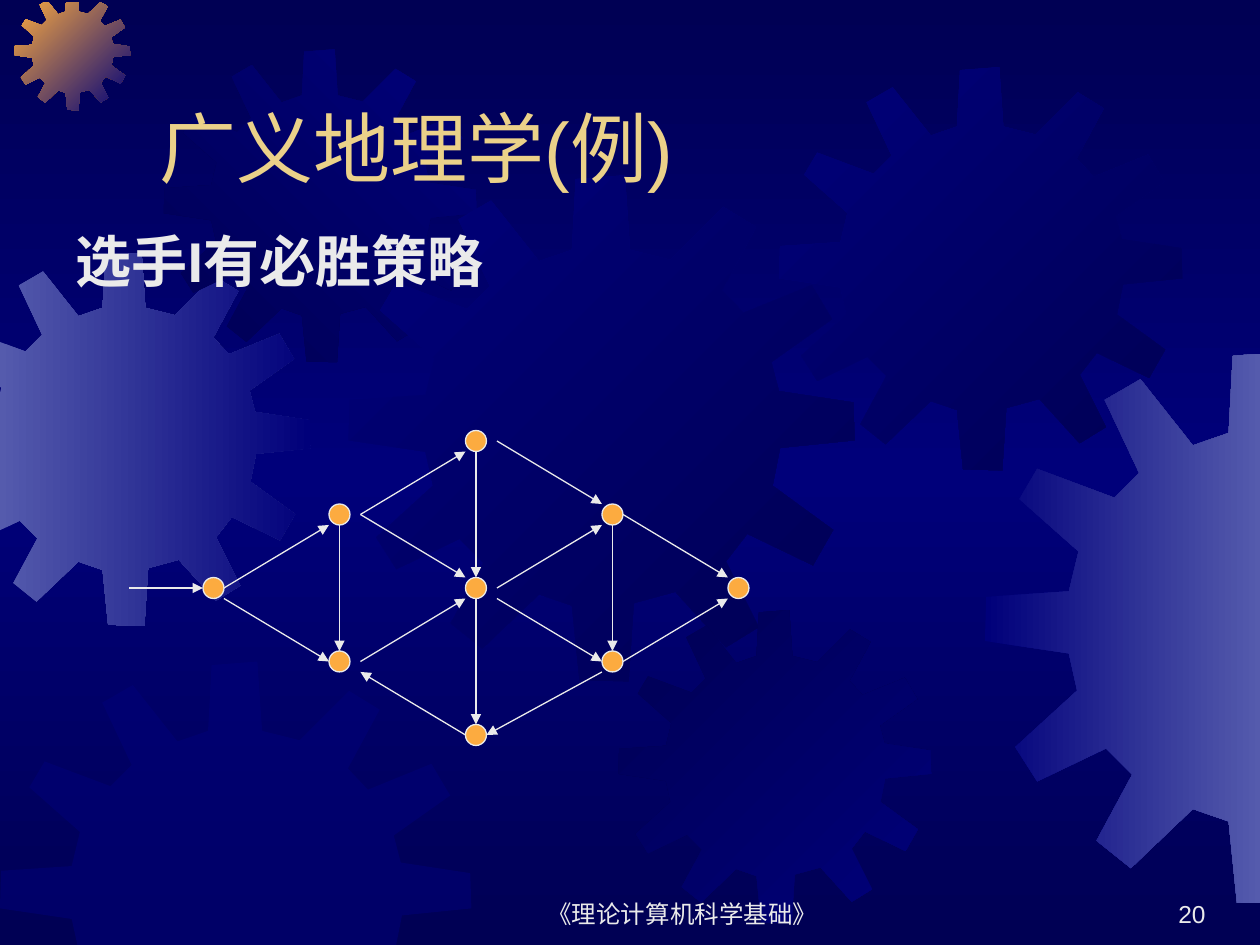
from copy import deepcopy
from dataclasses import dataclass

from lxml.etree import SubElement
from pptx import Presentation
from pptx.dml.color import RGBColor
from pptx.enum.shapes import MSO_CONNECTOR, MSO_SHAPE
from pptx.enum.text import MSO_ANCHOR, PP_ALIGN
from pptx.oxml.ns import qn
from pptx.util import Inches, Pt

COLUMNS, ROWS = 120, 90
FRAME = ((-0.1, 120.1), (0.2, 90.5))  # visible columns and rows for gears


@dataclass(frozen=True)
class Theme:
    font: str = "Arial"
    dark: str = "000054"
    blue: str = "00007A"
    pale: str = "555BAD"
    orange: str = "FCAB40"
    gold: str = "EBD189"
    text: str = "EAEAEA"
    title_size: int = 44
    body_size: int = 32
    footer_size: int = 14
    line_width: float = 0.75


THEME = Theme()

# Gear outline in a square of GEAR_SPAN units
GEAR_SPAN = 401
GEAR_OUTLINE = [
    (255, 67), (223, 59), (219, 0), (180, 3), (177, 59), (151, 68),
    (113, 20), (87, 35), (112, 88), (94, 106), (38, 85), (25, 107),
    (68, 145), (61, 174), (1, 178), (0, 210), (61, 219), (67, 246),
    (22, 287), (38, 312), (88, 288), (107, 307), (81, 355), (106, 375),
    (151, 332), (177, 341), (183, 400), (222, 401), (226, 339), (259, 330),
    (299, 374), (325, 358), (299, 306), (316, 284), (368, 309), (384, 281),
    (336, 246), (342, 216), (401, 210), (400, 180), (341, 171), (335, 148),
    (383, 114), (367, 87), (313, 109), (296, 91), (323, 41), (297, 25),
]

# Left column, top row, size, gradient colours, clockwise angle
GEARS = [
    (-5.9, 24.1, 35.5, (THEME.pale, THEME.blue), 0),
    (1.4, -0.5, 11, (THEME.orange, THEME.blue), 45),
    (15.6, 4.7, 29.8, (THEME.dark, THEME.blue), 315),
    (33.2, 16.7, 48.2, (THEME.blue, THEME.dark), 45),
    (0, 63, 44.9, (THEME.blue,), 0),
    (58.9, 58.1, 29.8, (THEME.dark, THEME.blue), 45),
    (74.2, 6.4, 38.4, (THEME.blue, THEME.dark), 45),
    (93.8, 33.5, 52.6, (THEME.blue, THEME.pale), 0),
]

NODES = {
    "top": (45.33, 42), "centre": (45.33, 56), "bottom": (45.33, 70),
    "upper right": (58.33, 49), "lower right": (58.33, 63),
    "goal": (70.33, 56),
    "upper left": (32.33, 49), "lower left": (32.33, 63),
    "start": (20.33, 56),
}

# Tail node and its offset, head node and its offset; one unit is a node radius
ARROWS = [
    ("start", (-8, 0), "start", (-1, 0)),
    ("start", (1, 0), "upper left", (-1, 1)),
    ("upper left", (2, 0), "top", (-1, 1)),
    ("centre", (2, 0), "upper right", (-1, 1)),
    ("lower left", (2, 0), "centre", (-1, 1)),
    ("lower right", (1, 0), "goal", (-1, 1)),
    ("upper left", (0, 1), "lower left", (0, -1)),
    ("top", (0, 1), "centre", (0, -1)),
    ("upper right", (0, 1), "lower right", (0, -1)),
    ("centre", (0, 1), "bottom", (0, -1)),
    ("bottom", (-1, 0), "lower left", (2, 1)),
    ("start", (1, 1), "lower left", (-1, 0)),
    ("upper left", (2, 0), "centre", (-1, -1)),
    ("centre", (2, 1), "lower right", (-1, 0)),
    ("upper right", (1, 0), "goal", (-1, -1)),
    ("top", (2, 0), "upper right", (-1, -1)),
    ("lower right", (-1, 1), "bottom", (1, 0)),
]


def rgb(value):
    return RGBColor.from_string(value)


def clip(points, axis, limit, sign):
    """Keep the part of a polygon where sign * coordinate >= sign * limit."""
    kept = []
    for a, b in zip(points[-1:] + points[:-1], points):
        a_in, b_in = (sign * p[axis] >= sign * limit for p in (a, b))
        if a_in != b_in:
            t = (limit - a[axis]) / (b[axis] - a[axis])
            kept.append(tuple(u + t * (v - u) for u, v in zip(a, b)))
        if b_in:
            kept.append(b)
    return kept


def set_gradient(fill, colors, angle):
    fill.gradient()
    fill.gradient_angle = (360 - angle) % 360
    for stop, color, share in zip(fill.gradient_stops, colors, (0, 1)):
        stop.color.rgb = rgb(color)
        stop.position = share


class SlideBuilder:
    def __init__(self, prs, theme):
        self.theme = theme
        self.s = prs.slides.add_slide(prs.slide_layouts[6])
        self.column = prs.slide_width / COLUMNS
        self.row = prs.slide_height / ROWS

    def at(self, x, y):
        return round(x * self.column), round(y * self.row)

    def background(self):
        """Vertical gradient, dark at both ends."""
        t = self.theme
        set_gradient(self.s.background.fill, (t.dark, t.blue), 90)
        stops = self.s.element.find(".//" + qn("a:gsLst"))
        stops.append(deepcopy(stops[0]))
        stops[1].set("pos", "50000")
        stops[2].set("pos", "100000")

    def gear(self, left, top, size, colors, angle):
        """Gear cut off at the frame; a single colour is half transparent."""
        k = size / GEAR_SPAN
        points = [(left + x * k, top + y * k) for x, y in GEAR_OUTLINE]
        for axis, (low, high) in enumerate(FRAME):
            points = clip(clip(points, axis, low, 1), axis, high, -1)
        first, *rest = [self.at(*p) for p in points]
        builder = self.s.shapes.build_freeform(*first)
        builder.add_line_segments(rest, close=True)
        sp = builder.convert_to_shape()
        sp.shadow.inherit = False
        sp.line.fill.background()
        if len(colors) > 1:
            set_gradient(sp.fill, colors, angle)
        else:
            sp.fill.solid()
            sp.fill.fore_color.rgb = rgb(colors[0])
            color = sp.element.spPr.find(".//" + qn("a:srgbClr"))
            SubElement(color, qn("a:alpha"), val="50000")

    def text(self, text, box, *, size, color=None, bold=False,
             align=PP_ALIGN.LEFT, anchor=MSO_ANCHOR.BOTTOM, before=0):
        sp = self.s.shapes.add_textbox(*self.at(*box[:2]), *self.at(*box[2:]))
        tf = sp.text_frame
        tf.word_wrap = True
        tf.vertical_anchor = anchor
        p = tf.paragraphs[0]
        p.alignment = align
        p.space_before = Pt(before)
        r = p.add_run()
        r.text = text
        r.font.name = self.theme.font
        r.font.size = Pt(size)
        r.font.bold = bold
        r.font.color.rgb = rgb(color or self.theme.text)

    def outline(self, line):
        line.color.rgb = rgb(self.theme.text)
        line.width = Pt(self.theme.line_width)

    def node(self, x, y):
        sp = self.s.shapes.add_shape(
            MSO_SHAPE.OVAL, *self.at(x - 1, y - 1), *self.at(2, 2))
        sp.shadow.inherit = False
        sp.fill.solid()
        sp.fill.fore_color.rgb = rgb(self.theme.orange)
        self.outline(sp.line)

    def arrow(self, tail, tail_shift, head, head_shift):
        ends = [self.at(NODES[n][0] + dx, NODES[n][1] + dy)
                for n, (dx, dy) in ((tail, tail_shift), (head, head_shift))]
        c = self.s.shapes.add_connector(
            MSO_CONNECTOR.STRAIGHT, *ends[0], *ends[1])
        self.outline(c.line)
        SubElement(c.line._get_or_add_ln(), qn("a:tailEnd"), type="triangle")
        SubElement(c.element.spPr, qn("a:effectLst"))


def main():
    prs = Presentation()
    prs.slide_width, prs.slide_height = Inches(10), Inches(7.5)
    b = SlideBuilder(prs, THEME)
    b.background()
    for gear in GEARS:
        b.gear(*gear)
    b.text("《理论计算机科学基础》", (46, 83, 38, 6), size=THEME.footer_size,
           align=PP_ALIGN.CENTER)
    b.text("20", (91, 83, 25, 6), size=THEME.footer_size, align=PP_ALIGN.RIGHT)
    b.text("广义地理学(例)", (14, 4, 102, 15), size=THEME.title_size,
           color=THEME.gold)
    b.text("选手I有必胜策略", (6, 21, 108, 9.84), size=THEME.body_size,
           bold=True, anchor=MSO_ANCHOR.TOP, before=0.2 * THEME.body_size)
    for centre in NODES.values():
        b.node(*centre)
    for arrow in ARROWS:
        b.arrow(*arrow)
    prs.save("out.pptx")


if __name__ == "__main__":
    main()
